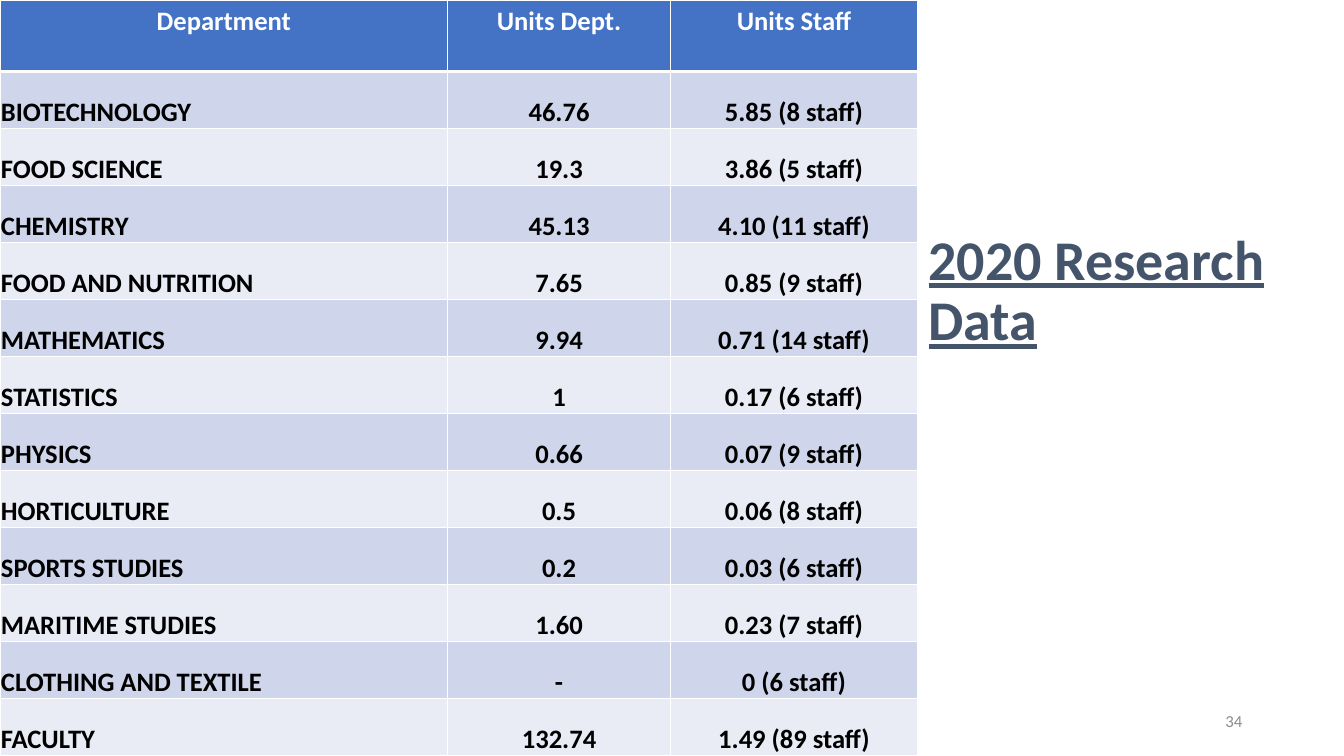
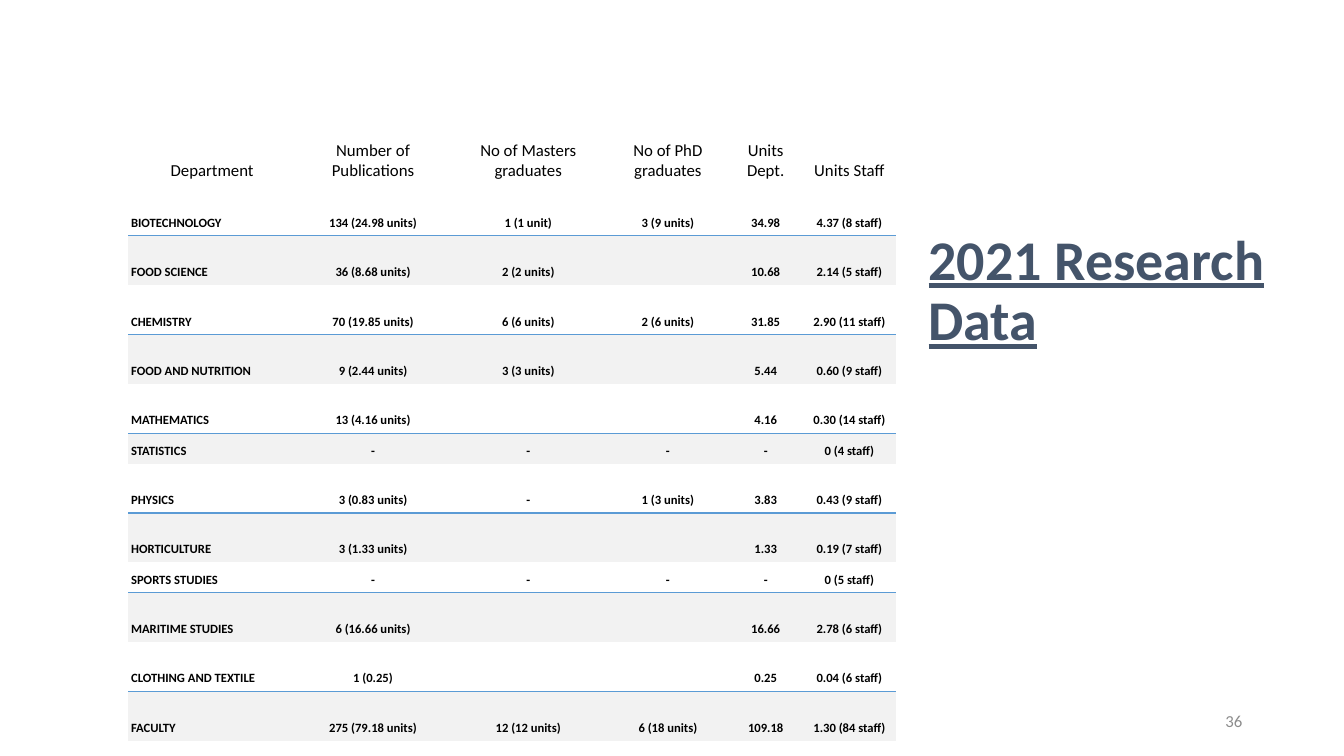
from dataclasses import dataclass

import lxml.etree
import pptx
import pptx.dml.color
import pptx.enum.text
import pptx.oxml.ns
import pptx.slide
import pptx.table
import pptx.util
from pptx.util import Inches

FONT = "Calibri"
WHITE, BLACK, SLATE, GREY = "FFFFFF", "000000", "44546A", "8C8C8C"
BLUE, SKY, LAVENDER, MIST, PALE = "4472C4", "5B9BD5", "CFD5EA", "E9EBF5", "F2F2F2"
ALIGN = pptx.enum.text.PP_ALIGN
ANCHOR = pptx.enum.text.MSO_ANCHOR


@dataclass(frozen=True)
class CellStyle:
    size: float
    colour: str
    bold: bool
    anchor: pptx.enum.text.MSO_ANCHOR
    margins: tuple[float, float, float, float]  # left, top, right, bottom


@dataclass(frozen=True)
class TableDesign:
    left: float
    top: float
    widths: tuple[float, ...]
    heights: tuple[float, ...]
    header: CellStyle
    body: CellStyle
    header_fill: str
    band_fills: tuple[str, str]
    rule_colour: str
    rules: dict[int, float]  # row boundary -> line width in points
    side_width: float


@dataclass(frozen=True)
class ResearchSlide:
    title: str
    number: str
    design: TableDesign
    rows: tuple[tuple[str, ...], ...]


UNITS_2020 = (
    ("Department", "Units Dept.", "Units Staff"),
    ("BIOTECHNOLOGY", "46.76", "5.85 (8 staff)"),
    ("FOOD SCIENCE", "19.3", "3.86 (5 staff)"),
    ("CHEMISTRY", "45.13", "4.10 (11 staff)"),
    ("FOOD AND NUTRITION", "7.65", "0.85 (9 staff)"),
    ("MATHEMATICS", "9.94", "0.71 (14 staff)"),
    ("STATISTICS", "1", "0.17 (6 staff)"),
    ("PHYSICS", "0.66", "0.07 (9 staff)"),
    ("HORTICULTURE", "0.5", "0.06 (8 staff)"),
    ("SPORTS STUDIES", "0.2", "0.03 (6 staff)"),
    ("MARITIME STUDIES", "1.60", "0.23 (7 staff)"),
    ("CLOTHING AND TEXTILE", "-", "0 (6 staff)"),
    ("FACULTY", "132.74", "1.49 (89 staff)"),
)

OUTPUT_2021 = (
    ("Department", "Number of Publications", "No of Masters graduates",
     "No of PhD graduates", "Units Dept.", "Units Staff"),
    ("BIOTECHNOLOGY", "134 (24.98 units)", "1 (1 unit)", "3 (9 units)", "34.98", "4.37 (8 staff)"),
    ("FOOD SCIENCE", "36 (8.68 units)", "2 (2 units)", "", "10.68", "2.14 (5 staff)"),
    ("CHEMISTRY", "70 (19.85 units)", "6 (6 units)", "2 (6 units)", "31.85", "2.90 (11 staff)"),
    ("FOOD AND NUTRITION", "9 (2.44 units)", "3 (3 units)", "", "5.44", "0.60 (9 staff)"),
    ("MATHEMATICS", "13 (4.16 units)", "", "", "4.16", "0.30 (14 staff)"),
    ("STATISTICS", "-", "-", "-", "-", "0 (4 staff)"),
    ("PHYSICS", "3 (0.83 units)", "-", "1 (3 units)", "3.83", "0.43 (9 staff)"),
    ("HORTICULTURE", "3 (1.33 units)", "", "", "1.33", "0.19 (7 staff)"),
    ("SPORTS STUDIES", "-", "-", "-", "-", "0 (5 staff)"),
    ("MARITIME STUDIES", "6 (16.66 units)", "", "", "16.66", "2.78 (6 staff)"),
    ("CLOTHING AND TEXTILE", "1 (0.25)", "", "", "0.25", "0.04 (6 staff)"),
    ("FACULTY", "275 (79.18 units)", "12 (12 units)", "6 (18 units)", "109.18", "1.30 (84 staff)"),
)

# Full-height table with a white grid
GRID_DESIGN = TableDesign(
    left=0, top=0,
    widths=(4.44, 2.21, 2.45),
    heights=(0.71,) + ((7.5 - 0.71) / 12,) * 12,
    header=CellStyle(19, WHITE, True, ANCHOR.TOP, (0.1, 0.05, 0.1, 0.05)),
    body=CellStyle(19, BLACK, True, ANCHOR.BOTTOM, (0.01, 0.01, 0.01, 0)),
    header_fill=BLUE, band_fills=(LAVENDER, MIST),
    rule_colour=WHITE,
    rules={boundary: 3 if boundary == 1 else 1 for boundary in range(14)},
    side_width=1,
)

# Light table with a rule above each shaded row
RULED_DESIGN = TableDesign(
    left=1.27, top=1.22,
    widths=(1.67, 1.52, 1.56, 1.21, 0.73, 0.93),
    heights=(0.63,) + tuple(0.3 if row in (6, 9) else 0.49 for row in range(1, 13)),
    header=CellStyle(12, BLACK, False, ANCHOR.BOTTOM, (0.03, 0.03, 0.03, 0.05)),
    body=CellStyle(9, BLACK, True, ANCHOR.BOTTOM, (0.03, 0.01, 0.03, 0.05)),
    header_fill=WHITE, band_fills=(WHITE, PALE),
    rule_colour=SKY,
    rules={boundary: 1 for boundary in range(2, 13, 2)},
    side_width=0,
)

RESEARCH_SLIDES = (
    ResearchSlide("2020 Research Data", "34", GRID_DESIGN, UNITS_2020),
    ResearchSlide("2021 Research Data", "36", RULED_DESIGN, OUTPUT_2021),
)


def rgb(colour: str) -> pptx.dml.color.RGBColor:
    return pptx.dml.color.RGBColor.from_string(colour)


def format_runs(para, size: float, colour: str, bold: bool = False, underline: bool = False) -> None:
    for span in para.runs:
        span.font.name = FONT
        span.font.size = pptx.util.Pt(size)
        span.font.bold = bold
        span.font.underline = underline
        span.font.color.rgb = rgb(colour)


def add_border(cell: pptx.table._Cell, side: str, width: float, colour: str) -> None:
    """Draw one cell border, or clear it when the width is zero."""
    qn = pptx.oxml.ns.qn
    properties = cell._tc.get_or_add_tcPr()
    line = lxml.etree.SubElement(properties, qn(f"a:ln{side}"))
    line.set("w", str(int(pptx.util.Pt(width))))
    if width:
        fill = lxml.etree.SubElement(line, qn("a:solidFill"))
        lxml.etree.SubElement(fill, qn("a:srgbClr")).set("val", colour)
    else:
        lxml.etree.SubElement(line, qn("a:noFill"))


def format_cell(cell: pptx.table._Cell, row: int, column: int, design: TableDesign) -> None:
    style = design.body if row else design.header
    cell.vertical_anchor = style.anchor
    cell.margin_left, cell.margin_top, cell.margin_right, cell.margin_bottom = map(Inches, style.margins)

    # Borders come before the fill in the cell properties
    widths = {"L": design.side_width, "R": design.side_width,
              "T": design.rules.get(row, 0), "B": design.rules.get(row + 1, 0)}
    for side, width in widths.items():
        add_border(cell, side, width, design.rule_colour)
    cell.fill.solid()
    cell.fill.fore_color.rgb = rgb(design.band_fills[(row - 1) % 2] if row else design.header_fill)

    para = cell.text_frame.paragraphs[0]
    para.alignment = ALIGN.LEFT if row and column == 0 else ALIGN.CENTER
    format_runs(para, style.size, style.colour, style.bold)


def add_research_table(page: pptx.slide.Slide, design: TableDesign, rows: tuple[tuple[str, ...], ...]) -> None:
    table = page.shapes.add_table(
        len(rows), len(design.widths), Inches(design.left), Inches(design.top),
        Inches(sum(design.widths)), Inches(sum(design.heights))).table
    table.horz_banding = False
    for column, width in zip(table.columns, design.widths):
        column.width = Inches(width)
    for table_row, height in zip(table.rows, design.heights):
        table_row.height = Inches(height)
    for row, values in enumerate(rows):
        for column, value in enumerate(values):
            cell = table.cell(row, column)
            cell.text_frame.text = value
            format_cell(cell, row, column, design)


def place_title(page: pptx.slide.Slide, text: str) -> None:
    box = page.shapes.title
    box.left, box.top, box.width, box.height = map(Inches, (9.11, 1.22, 3.72, 2.93))
    frame = box.text_frame
    frame.text = text
    frame.word_wrap = True
    frame.auto_size = pptx.enum.text.MSO_AUTO_SIZE.NONE
    frame.vertical_anchor = ANCHOR.BOTTOM
    frame.margin_bottom = Inches(0.65)
    para = frame.paragraphs[0]
    para.alignment = ALIGN.LEFT
    para.line_spacing = 0.9
    format_runs(para, 40, SLATE, bold=True, underline=True)


def add_page_number(page: pptx.slide.Slide, number: str) -> None:
    box = page.shapes.add_textbox(Inches(9.42), Inches(6.95), Inches(3), Inches(0.4))
    frame = box.text_frame
    frame.text = number
    frame.word_wrap = True
    frame.vertical_anchor = ANCHOR.MIDDLE
    para = frame.paragraphs[0]
    para.alignment = ALIGN.RIGHT
    para.space_after = pptx.util.Pt(6)
    format_runs(para, 12, GREY)


def main() -> None:
    deck = pptx.Presentation()
    deck.slide_width, deck.slide_height = Inches(13.33), Inches(7.5)
    title_only = deck.slide_layouts[5]
    for content in RESEARCH_SLIDES:
        page = deck.slides.add_slide(title_only)
        place_title(page, content.title)
        add_page_number(page, content.number)
        add_research_table(page, content.design, content.rows)
    deck.save("out.pptx")


if __name__ == "__main__":
    main()
